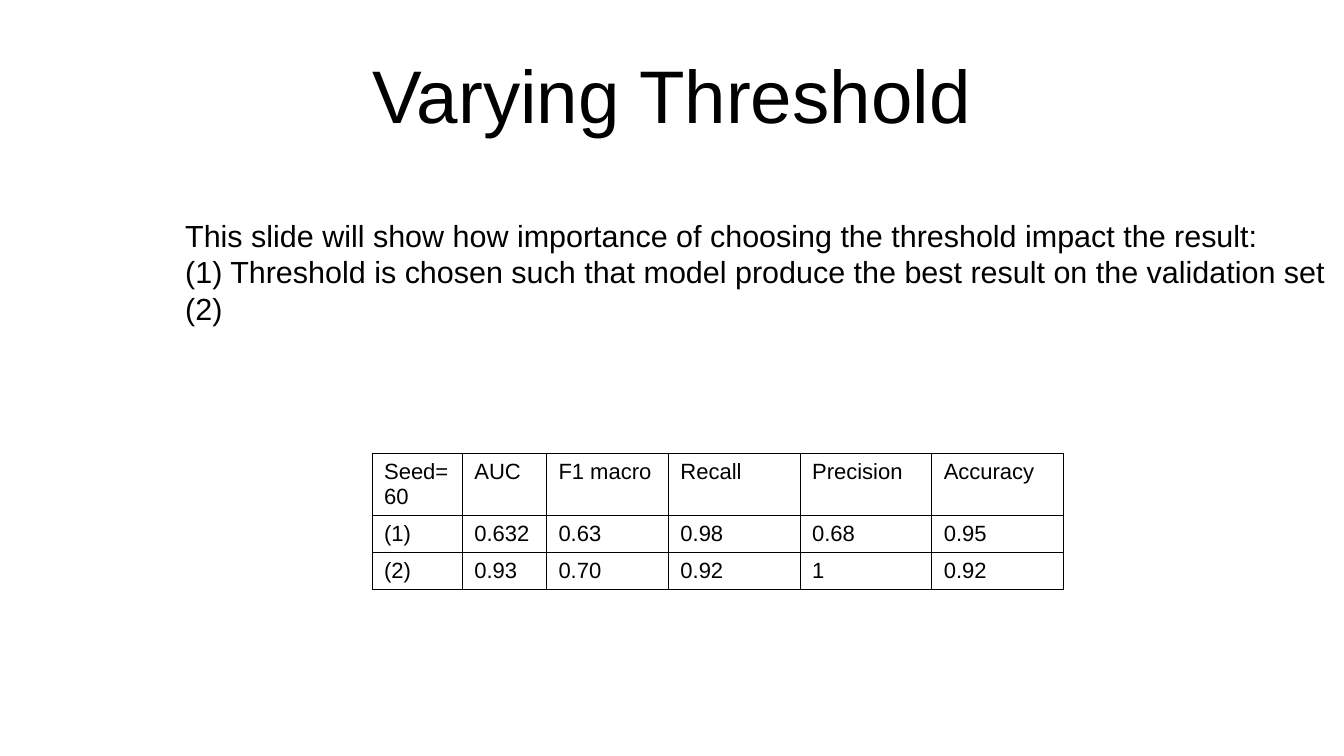
from pptx import Presentation
from pptx import util as u
from pptx.dml.color import RGBColor
from pptx.enum import text
from pptx.oxml import parse_xml
from pptx.oxml.ns import nsdecls

TITLE = "Varying Threshold"
LINES = [
    "This slide will show how importance of choosing the threshold impact the result:",
    "(1) Threshold is chosen such that model produce the best result on the validation set",
    "(2)",
]
ROWS = [
    ("Seed=60", "AUC", "F1 macro", "Recall", "Precision", "Accuracy"),
    ("(1)", "0.632", "0.63", "0.98", "0.68", "0.95"),
    ("(2)", "0.93", "0.70", "0.92", "1", "0.92"),
]
COLS = (0.74, 0.69, 1, 1.08, 1.08, 1.08)
HIGH = (0.51, 0.3, 0.3)
HEX = {"ink": "000000", "page": "FFFFFF"}
WIDE, TALL = 11.02, 6.2
EDGE = 0.57


def box(left, top, width, height):
    return [u.Inches(n) for n in (left, top, width, height)]


def write(frame, lines, size, **form):
    for key, val in form.items():
        setattr(frame, key, val)
    frame.text = "\n".join(lines)
    for para in frame.paragraphs:
        look = {"name": "Arial", "size": u.Pt(size)}
        for key, val in look.items():
            setattr(para.font, key, val)
        para.font.color.rgb = RGBColor.from_string(HEX["ink"])


def rule(cell):
    cell.fill.background()
    props = cell._tc.get_or_add_tcPr()
    for spot, side in enumerate("LRTB"):
        props.insert(spot, parse_xml(
            f'<a:ln{side} {nsdecls("a")} w="{u.Pt(EDGE)}"><a:solidFill>'
            f'<a:srgbClr val="{HEX["ink"]}"/></a:solidFill></a:ln{side}>'))


def main():
    deck = Presentation()
    deck.slide_width, deck.slide_height = u.Inches(WIDE), u.Inches(TALL)
    slide = deck.slides.add_slide(deck.slide_layouts[5])
    back = slide.background.fill
    back.solid()
    back.fore_color.rgb = RGBColor.from_string(HEX["page"])

    head = slide.shapes.title
    side = WIDE * 0.05
    spots = box(side, TALL * 0.04, WIDE - 2 * side, 1.04)
    head.left, head.top, head.width, head.height = spots
    write(head.text_frame, [TITLE], 44, word_wrap=True,
          vertical_anchor=text.MSO_ANCHOR.MIDDLE,
          auto_size=text.MSO_AUTO_SIZE.NONE,
          margin_left=0, margin_right=0, margin_top=0, margin_bottom=0)
    head.text_frame.paragraphs[0].alignment = text.PP_ALIGN.CENTER

    grid = slide.shapes.add_table(
        len(ROWS), len(COLS),
        *box(3.05, TALL * 0.6, sum(COLS), sum(HIGH))).table
    grid.first_row = grid.horz_banding = False
    for col, width in zip(grid.columns, COLS):
        col.width = u.Inches(width)
    for row, height, words in zip(grid.rows, HIGH, ROWS):
        row.height = u.Inches(height)
        for cell, word in zip(row.cells, words):
            write(cell.text_frame, [word], 13)
            rule(cell)

    note = slide.shapes.add_textbox(*box(1.42, 1.73, 9.55, 0.94))
    write(note.text_frame, LINES, 18, word_wrap=False,
          auto_size=text.MSO_AUTO_SIZE.SHAPE_TO_FIT_TEXT)

    deck.save("out.pptx")


if __name__ == "__main__":
    main()
